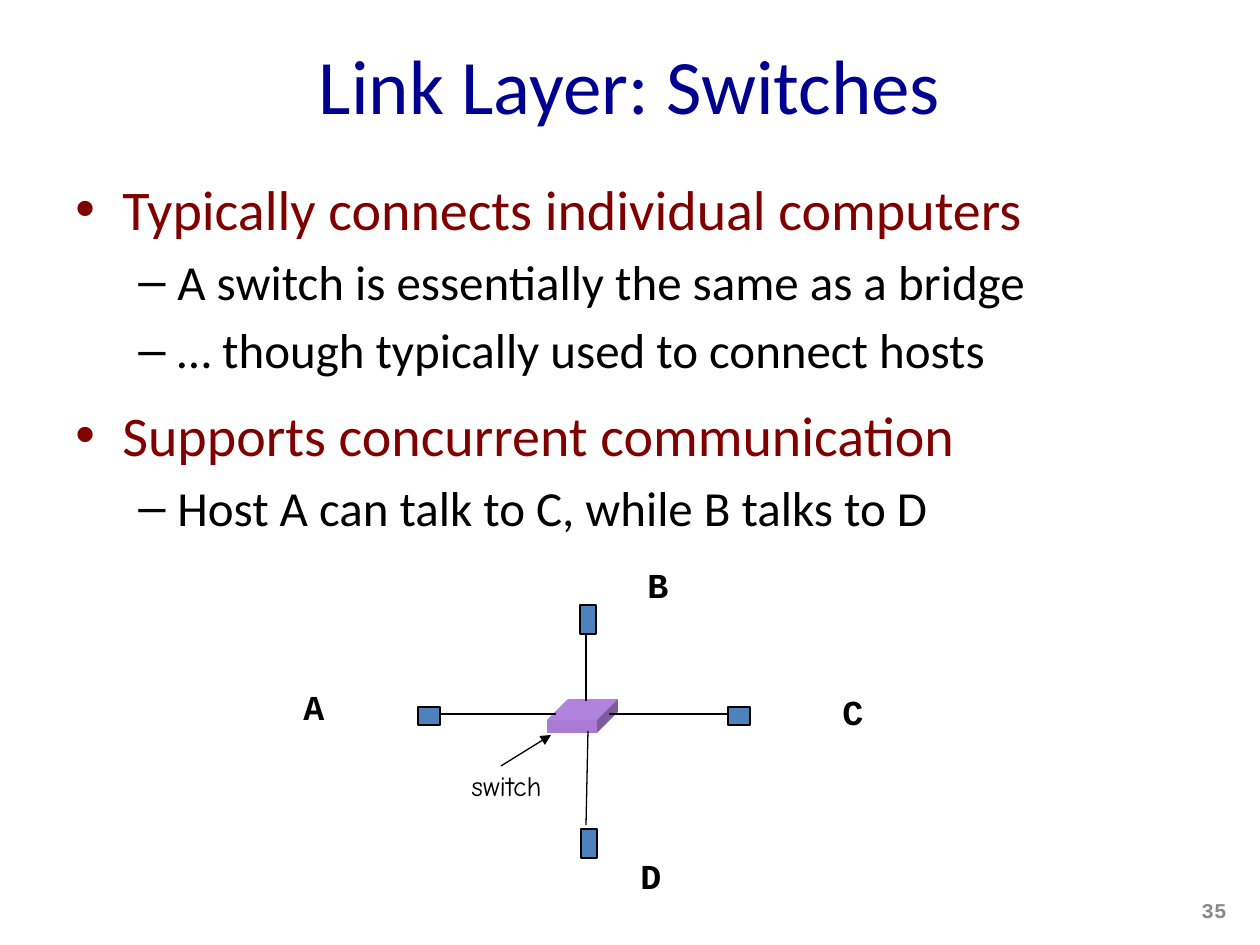
import pptx
import pptx.dml.color
import pptx.enum.shapes
import pptx.enum.text
import pptx.oxml
import pptx.oxml.ns
import pptx.util

EMU_PER_PX = 914400 / 126
COLORS = {
    "title": "000090", "topic": "800000", "ink": "000000", "host": "4F81BD",
    "front": "AA7BD5", "top": "B183DF", "side": "7E5B9F", "number": "898989",
}
ALIGN = pptx.enum.text.PP_ALIGN
ANCHOR = pptx.enum.text.MSO_ANCHOR


def px(*lengths):
    return [pptx.util.Emu(round(length * EMU_PER_PX)) for length in lengths]


def rgb(name):
    return pptx.dml.color.RGBColor.from_string(COLORS[name])


def add_element(parent, tag, **attributes):
    element = pptx.oxml.parse_xml(f"<{tag} {pptx.oxml.ns.nsdecls('a')}/>")
    for name, value in attributes.items():
        element.set(name, value)
    parent.append(element)


class SlideBuilder:
    fonts = {
        "title": {"name": "Calibri", "size": 44},
        "topic": {"name": "Calibri", "size": 32},
        "detail": {"name": "Calibri", "size": 28},
        "caption": {"name": "Comic Neue", "size": 16},
        "label": {"name": "Courier New", "size": 20, "bold": True},
        "number": {"name": "Courier New", "size": 12, "bold": True},
    }
    bullets = {
        "topic": {"char": "•", "margin": 47, "hanging": 47},
        "detail": {"char": "–", "margin": 102, "hanging": 39},
    }

    def __init__(self, page):
        self.page = page

    def add_span(self, para, text, style, color):
        span = para.add_run()
        span.text = text
        for name, value in self.fonts[style].items():
            setattr(span.font, name, pptx.util.Pt(value) if name == "size" else value)
        span.font.color.rgb = rgb(color)

    def title(self, text, *bounds):
        box = self.page.shapes.title
        box.left, box.top, box.width, box.height = px(*bounds)
        box.text_frame.vertical_anchor = ANCHOR.MIDDLE
        para = box.text_frame.paragraphs[0]
        para.alignment = ALIGN.CENTER
        self.add_span(para, text, "title", "title")

    def text(self, text, bounds, style, color="ink", align=ALIGN.LEFT,
             anchor=ANCHOR.TOP, wrap=False):
        frame = self.page.shapes.add_textbox(*px(*bounds)).text_frame
        frame.word_wrap, frame.vertical_anchor = wrap, anchor
        frame.paragraphs[0].alignment = align
        self.add_span(frame.paragraphs[0], text, style, color)

    def outline(self, items, *bounds):
        frame = self.page.shapes.add_textbox(*px(*bounds)).text_frame
        frame.word_wrap = True
        for index, (style, text, space_after) in enumerate(items):
            para = frame.add_paragraph() if index else frame.paragraphs[0]
            bullet = self.bullets[style]
            margin, hanging = px(bullet["margin"], bullet["hanging"])
            properties = para._p.get_or_add_pPr()
            properties.set("marL", str(margin))
            properties.set("indent", str(-hanging))
            add_element(properties, "a:buFont", typeface="Arial")
            add_element(properties, "a:buChar", char=bullet["char"])
            para.level = int(style == "detail")
            para.space_before = pptx.util.Pt(0.2 * self.fonts[style]["size"] if index else 0)
            para.space_after = pptx.util.Pt(space_after)
            self.add_span(para, text, style, "topic" if style == "topic" else "ink")

    def host(self, *bounds):
        shape = self.page.shapes.add_shape(
            pptx.enum.shapes.MSO_SHAPE.RECTANGLE, *px(*bounds))
        shape.shadow.inherit = False
        shape.fill.solid()
        shape.fill.fore_color.rgb = rgb("host")
        shape.line.color.rgb = rgb("ink")
        shape.line.width = pptx.util.Pt(0.75)

    def face(self, points, color):
        start, *others = [px(*point) for point in points]
        outline = self.page.shapes.build_freeform(*start)
        outline.add_line_segments(others, close=True)
        shape = outline.convert_to_shape()
        shape.shadow.inherit = False
        shape.fill.solid()
        shape.fill.fore_color.rgb = rgb(color)
        shape.line.fill.background()

    def line(self, *ends, arrow=False):
        connector = self.page.shapes.add_connector(
            pptx.enum.shapes.MSO_CONNECTOR.STRAIGHT, *px(*ends))
        connector.line.color.rgb = rgb("ink")
        connector.line.width = pptx.util.Pt(0.75)
        if arrow:
            add_element(connector.line._get_or_add_ln(), "a:tailEnd", type="triangle")
        add_element(connector._element.spPr, "a:effectLst")


def main():
    deck = pptx.Presentation()
    deck.slide_width, deck.slide_height = px(1260, 945)
    slide = SlideBuilder(deck.slides.add_slide(deck.slide_layouts[5]))

    # Title and outline
    slide.title("Link Layer: Switches", 0, 0, 1260, 168)
    slide.outline([
        ("topic", "Typically connects individual computers", 0),
        ("detail", "A switch is essentially the same as a bridge", 0),
        ("detail", "… though typically used to connect hosts", 6),
        ("topic", "Supports concurrent communication", 0),
        ("detail", "Host A can talk to C, while B talks to D", 0),
    ], 63, 168, 1166, 353)

    # Switch, drawn as a slab with three visible faces
    left, right, top, middle, bottom, slant = 547, 597, 699, 720, 733, 21
    depth = bottom - middle
    slide.face([(left, middle), (right, middle), (right, bottom), (left, bottom)], "front")
    slide.face([(left, middle), (left + slant, top), (right + slant, top),
                (right, middle)], "top")
    slide.face([(right, middle), (right + slant, top), (right + slant, top + depth),
                (right, bottom)], "side")

    # Hosts and their links to the switch
    for x, y in [(418, 707), (728, 707)]:
        slide.host(x, y, 22, 18)
    for x, y in [(580, 605), (581, 829)]:
        slide.host(x, y, 16, 29)
    for ends in [(440, 714, 556, 714), (586, 634, 586, 701),
                 (727, 714, 609, 714), (586, 825, 588, 731)]:
        slide.line(*ends)

    # Labels
    slide.text("switch", (459, 762, 110, 47), "caption")
    slide.line(501, 766, 551, 735, arrow=True)
    for name, x, y in [("A", 289, 679), ("B", 633, 557), ("C", 828, 684), ("D", 626, 848)]:
        slide.text(name, (x, y, 50, 54), "label", align=ALIGN.CENTER)

    # Slide number
    slide.text("35", (945, 885, 294, 50), "number", "number", ALIGN.RIGHT,
               ANCHOR.MIDDLE, wrap=True)

    deck.save("out.pptx")


if __name__ == "__main__":
    main()
